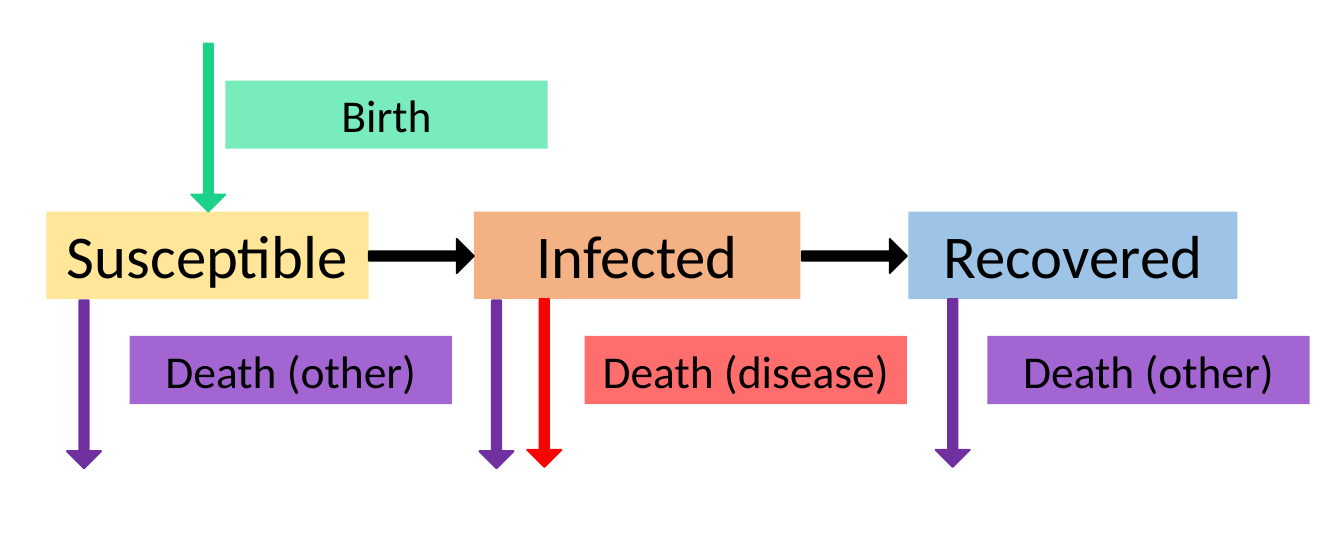
"""Build a one-slide SIR compartment diagram with births and deaths."""
import pptx
import pptx.dml.color
import pptx.enum.shapes
import pptx.enum.text
import pptx.util

PX = pptx.util.Inches(1) // 100
COLORS = {
    "text": "000000",
    "flow": "000000",
    "susceptible": "FFE699",
    "infected": "F4B183",
    "recovered": "9DC3E6",
    "birth": "1DD188",
    "birth_label": "78ECBD",
    "other": "7030A0",
    "other_label": "A365D1",
    "disease": "FF0000",
    "disease_label": "FF6D6D",
}
STATE_TOP, STATE_HEIGHT, STATE_SIZE = 155, 64, 32
LABEL_WIDTH, LABEL_HEIGHT, LABEL_SIZE = 236, 50, 24
DEATH_LABEL_TOP = 246
ARROW_HEIGHT = 25
FLOW_TOP, FLOW_LENGTH = 175, 77
VERTICAL_LENGTH = 123


def rgb(name):
    """Return the named colour."""
    return pptx.dml.color.RGBColor.from_string(COLORS[name])


def add_box(slide, text, color, size, x, y, w, h):
    """Add a filled box with centred text."""
    sp = slide.shapes.add_textbox(x * PX, y * PX, w * PX, h * PX)
    sp.fill.solid()
    sp.fill.fore_color.rgb = rgb(color)
    tf = sp.text_frame
    tf.word_wrap = True
    tf.auto_size = pptx.enum.text.MSO_AUTO_SIZE.SHAPE_TO_FIT_TEXT
    tf.text = text
    p = tf.paragraphs[0]
    p.alignment = pptx.enum.text.PP_ALIGN.CENTER
    r = p.runs[0]
    r.font.name = "Calibri"
    r.font.size = pptx.util.Pt(size)
    r.font.color.rgb = rgb("text")


def add_state(slide, text, color, x, w):
    """Add a compartment box in the middle row."""
    add_box(slide, text, color, STATE_SIZE, x, STATE_TOP, w, STATE_HEIGHT)


def add_label(slide, text, color, x, y):
    """Add a label box beside an arrow."""
    add_box(slide, text, color, LABEL_SIZE, x, y, LABEL_WIDTH, LABEL_HEIGHT)


def add_arrow(slide, color, x, y, length, rotation=0):
    """Add a thin block arrow, turned about its centre."""
    sp = slide.shapes.add_shape(
        pptx.enum.shapes.MSO_SHAPE.RIGHT_ARROW,
        x * PX, y * PX, length * PX, ARROW_HEIGHT * PX)
    sp.adjustments[0] = 0.27
    sp.adjustments[1] = 0.5
    sp.rotation = rotation
    sp.shadow.inherit = False
    sp.fill.solid()
    sp.fill.fore_color.rgb = rgb(color)
    sp.line.color.rgb = rgb(color)
    sp.line.width = pptx.util.Pt(1)


def main():
    """Build and save the slide."""
    prs = pptx.Presentation()
    prs.slide_width = 984 * PX
    prs.slide_height = 394 * PX
    slide = prs.slides.add_slide(prs.slide_layouts[6])

    for text, color, x, w in [
        ("Susceptible", "susceptible", 34, 236),
        ("Infected", "infected", 347, 239),
        ("Recovered", "recovered", 665, 241),
    ]:
        add_state(slide, text, color, x, w)

    for x in (270, 587):
        add_arrow(slide, "flow", x, FLOW_TOP, FLOW_LENGTH)

    for color, x, y in [
        ("birth", 91, 81),
        ("other", 0, 269),
        ("other", 302, 269),
        ("disease", 337, 268),
        ("other", 636, 268),
    ]:
        add_arrow(slide, color, x, y, VERTICAL_LENGTH, 90)

    for text, color, x, y in [
        ("Birth", "birth_label", 165, 59),
        ("Death (other)", "other_label", 95, DEATH_LABEL_TOP),
        ("Death (disease)", "disease_label", 428, DEATH_LABEL_TOP),
        ("Death (other)", "other_label", 723, DEATH_LABEL_TOP),
    ]:
        add_label(slide, text, color, x, y)

    prs.save("out.pptx")


if __name__ == "__main__":
    main()
